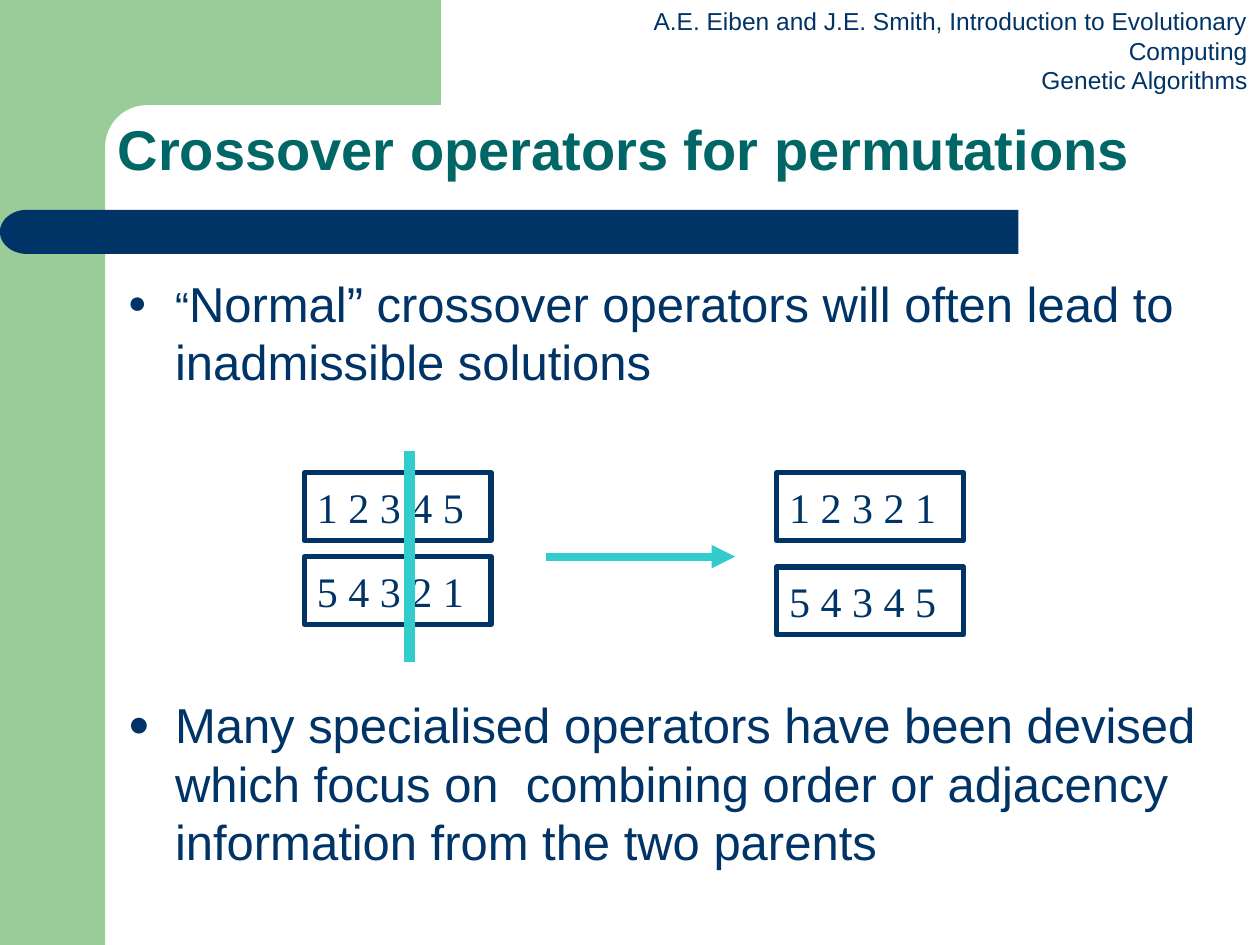
from pptx import Presentation
from pptx.dml.color import RGBColor
from pptx.enum.shapes import MSO_CONNECTOR as Connector, MSO_SHAPE as Shape
from pptx.enum.text import MSO_ANCHOR as Anchor, PP_ALIGN as Align
from pptx.oxml.ns import qn
from pptx.util import Cm, Pt
from lxml.etree import SubElement

NAVY = RGBColor(0x00, 0x33, 0x66)
TEAL = RGBColor(0x00, 0x66, 0x66)
GREEN = RGBColor(0x99, 0xCC, 0x99)
AQUA = RGBColor(0x33, 0xCC, 0xCC)
WHITE = RGBColor(0xFF, 0xFF, 0xFF)


def set_values(target, values):
    """Set every attribute named in a dict of format values."""
    for name, value in values.items():
        setattr(target, name, value)


class SlideBuilder:
    """Holds the style and the current slide."""

    body = {"name": "Arial", "size": Pt(28)}
    header = {"name": "Arial", "size": Pt(14)}
    heading = {"name": "Arial", "size": Pt(32), "bold": True}
    genes = {"name": "Times New Roman", "size": Pt(24)}

    def __init__(self, presentation):
        """Add a title-only slide."""
        self.slide = presentation.slides.add_slide(presentation.slide_layouts[5])
        self.shapes = self.slide.shapes

    def text_run(self, paragraph, text, font, color=NAVY):
        """Add a run of formatted text."""
        run = paragraph.add_run()
        run.text = text
        set_values(run.font, font)
        run.font.color.rgb = color

    def title(self, text, left, top, width, height):
        """Place and format the title in front of the decoration."""
        title = self.shapes.title
        set_values(title, {"left": Cm(left), "top": Cm(top),
                           "width": Cm(width), "height": Cm(height)})
        title.text_frame.vertical_anchor = Anchor.MIDDLE
        paragraph = title.text_frame.paragraphs[0]
        set_values(paragraph, {"alignment": Align.LEFT, "line_spacing": 0.9})
        self.text_run(paragraph, text, self.heading, TEAL)
        self.shapes._spTree.append(title._element)

    def block(self, kind, left, top, width, height, color=None):
        """Add a preset shape, filled when a colour is given."""
        shape = self.shapes.add_shape(kind, Cm(left), Cm(top), Cm(width), Cm(height))
        shape.shadow.inherit = False
        if color is None:
            shape.fill.background()
        else:
            shape.fill.solid()
            shape.fill.fore_color.rgb = color
            shape.line.fill.background()
        return shape

    def chromosome(self, text, left, top):
        """Add an outlined box with a permutation."""
        shape = self.block(Shape.RECTANGLE, left, top, 3.76, 1.37)
        shape.line.width = Pt(3)
        shape.line.color.rgb = NAVY
        set_values(shape.text_frame, {"vertical_anchor": Anchor.MIDDLE, "word_wrap": True})
        paragraph = shape.text_frame.paragraphs[0]
        paragraph.alignment = Align.LEFT
        self.text_run(paragraph, text, self.genes)

    def text_box(self, left, top, width, height):
        """Add a wrapping text box and return its text frame."""
        box = self.shapes.add_textbox(Cm(left), Cm(top), Cm(width), Cm(height))
        box.text_frame.word_wrap = True
        return box.text_frame

    def page_header(self, lines, left, top, width, height):
        """Add right-aligned header lines."""
        frame = self.text_box(left, top, width, height)
        for index, line in enumerate(lines):
            paragraph = frame.add_paragraph() if index else frame.paragraphs[0]
            paragraph.alignment = Align.RIGHT
            self.text_run(paragraph, line, self.header)

    def bullet(self, runs, left, top, width, height):
        """Add one bulleted statement made of (text, size) runs."""
        paragraph = self.text_box(left, top, width, height).paragraphs[0]
        properties = paragraph._p.get_or_add_pPr()
        properties.set("marL", str(Cm(0.95)))
        properties.set("indent", str(-Cm(0.95)))
        SubElement(properties, qn("a:buSzPct"), val="75000")
        SubElement(properties, qn("a:buFont"), typeface="Arial")
        SubElement(properties, qn("a:buChar"), char="●")
        for text, size in runs:
            self.text_run(paragraph, text, {**self.body, "size": Pt(size)})

    def line(self, start, end, width, arrow=False):
        """Add a straight line, with an arrowhead if wanted."""
        connector = self.shapes.add_connector(
            Connector.STRAIGHT, *(Cm(value) for value in (*start, *end)))
        connector.line.width = Pt(width)
        connector.line.color.rgb = AQUA
        if arrow:
            SubElement(connector.line._get_or_add_ln(), qn("a:tailEnd"), type="triangle")
        SubElement(connector._element.spPr, qn("a:effectLst"))


def main():
    """Build the slide about crossover operators."""
    presentation = Presentation()
    set_values(presentation, {"slide_width": Cm(25.4), "slide_height": Cm(19.05)})
    builder = SlideBuilder(presentation)

    builder.block(Shape.RECTANGLE, 0, 0, 2.12, 19.05, GREEN)
    builder.block(Shape.RECTANGLE, 1.9, 0, 6.99, 2.96, GREEN)
    corner = builder.block(Shape.ROUNDED_RECTANGLE, 2.12, 2.12, 14.18, 1.69, WHITE)
    corner.adjustments[0] = 0.5
    builder.block(Shape.RECTANGLE, 1.06, 4.23, 19.47, 0.89, NAVY)
    cap = builder.block(Shape.FLOWCHART_DELAY, 0, 4.23, 1.09, 0.89, NAVY)
    cap._element.spPr.xfrm.set("flipH", "1")

    builder.page_header(
        ["A.E. Eiben and J.E. Smith, Introduction to Evolutionary Computing",
         "Genetic Algorithms"], 11, 0, 14.4, 2)
    builder.title("Crossover operators for permutations", 2.12, 2.12, 22.22, 1.9)
    builder.bullet(
        [("“", 24), ("Normal” crossover operators will often lead to "
                     "inadmissible solutions", 28)], 2.33, 5.38, 22.22, 2.6)
    builder.bullet(
        [("Many specialised operators have been devised which focus on  combining "
          "order or adjacency information from the two parents", 28)],
        2.33, 13.87, 22.22, 3.8)

    for text, left, top in (("1 2 3 4 5", 6.14, 9.53), ("5 4 3 2 1", 6.14, 11.22),
                            ("1 2 3 2 1", 15.66, 9.53), ("5 4 3 4 5", 15.66, 11.43)):
        builder.chromosome(text, left, top)
    builder.line((8.26, 9.1), (8.26, 13.34), 6)
    builder.line((11, 11.22), (14.82, 11.22), 4.5, arrow=True)

    presentation.save("out.pptx")


main()
